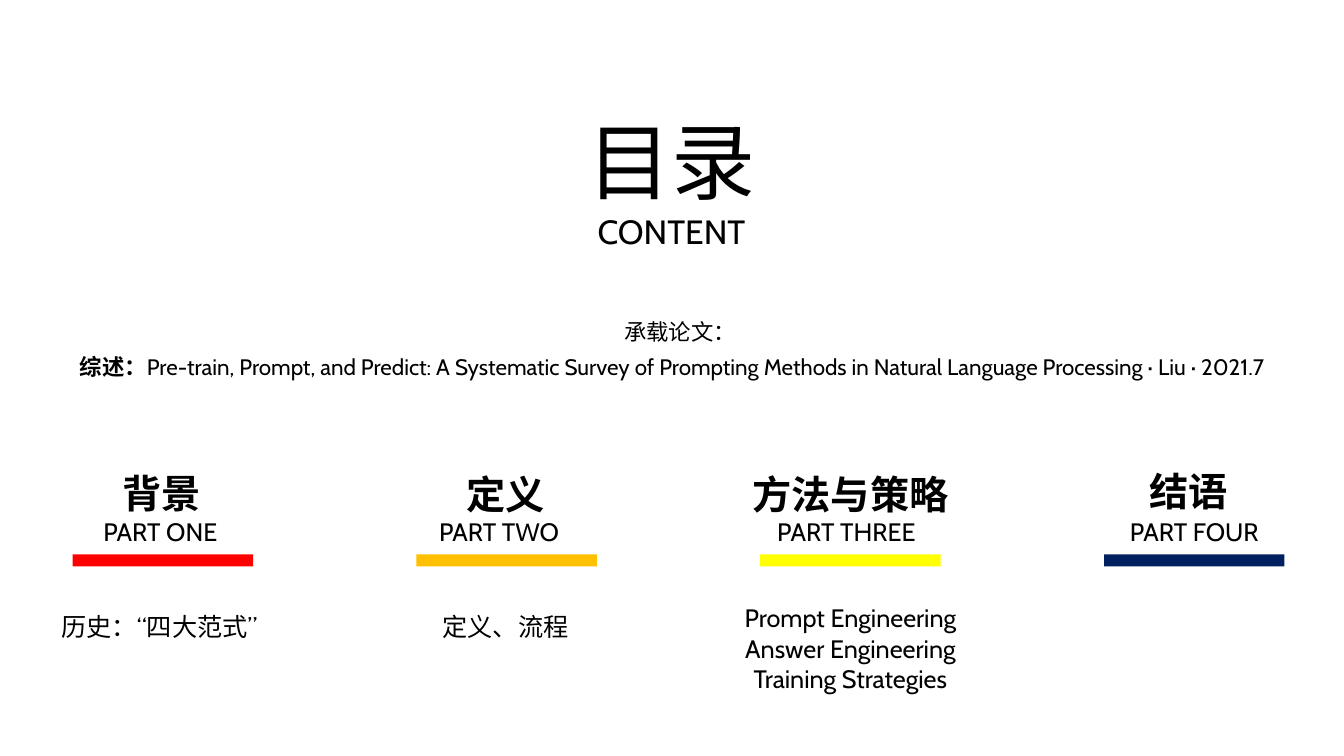
from lxml import etree
from pptx import Presentation
from pptx.dml.color import RGBColor
from pptx.enum import shapes, text
from pptx.oxml.ns import qn
from pptx.util import Inches, Pt

FONT = "Cabin"
BLACK = RGBColor(0x00, 0x00, 0x00)
RED = RGBColor(0xFF, 0x00, 0x00)
ORANGE = RGBColor(0xFF, 0xC0, 0x00)
YELLOW = RGBColor(0xFF, 0xFF, 0x00)
NAVY = RGBColor(0x00, 0x20, 0x60)
CENTER, LEFT = text.PP_ALIGN.CENTER, text.PP_ALIGN.LEFT

# Each line is a list of runs: (text, size, bold)
TITLE = [[("目录", 60, False)], [("CONTENT", 24, False)]]
PAPER = [
    [("承载论文：", 16, False)],
    [("综述：", 16, True),
     ("Pre-train, Prompt, and Predict: A Systematic Survey of Prompting Methods "
      "in Natural Language Processing · Liu · 2021.7", 16, False)],
]
# Heading and its box, label and its box, bar colour
PARTS = [
    ("背景", (0.64, 4.47, 1.92, 0.71), "PART ONE", (0.79, 4.98, 1.6, 0.49), RED),
    ("定义", (3.93, 4.48, 2.17, 0.71), "PART TWO", (4.08, 4.98, 1.74, 0.49), ORANGE),
    ("方法与策略", (7.26, 4.48, 2.35, 0.71), "PART THREE", (7.46, 4.98, 1.87, 0.49), YELLOW),
    ("结语", (10.83, 4.45, 1.92, 0.71), "PART FOUR", (11.1, 4.98, 1.49, 0.49), NAVY),
]
# Lines, box, alignment, wrap
TOPICS = [
    (["历史：“四大范式”"], (0.51, 6.02, 2.23, 0.4), LEFT, True),
    (["定义、流程"], (4.29, 6.02, 1.45, 0.4), LEFT, False),
    (["Prompt Engineering", "Answer Engineering", "Training Strategies"],
     (7.22, 5.93, 2.43, 1.01), CENTER, True),
]
BAR_LEFT, BAR_STEP, BAR_TOP, BAR_W, BAR_H = 0.72, 3.41, 5.5, 1.79, 0.12


def write(sp, lines, align=CENTER, spacing=1.0, wrap=True):
    tf = sp.text_frame
    tf.word_wrap = wrap
    tf.auto_size = text.MSO_AUTO_SIZE.NONE
    tf.vertical_anchor = text.MSO_ANCHOR.TOP
    for i, line in enumerate(lines):
        p = tf.paragraphs[0] if i == 0 else tf.add_paragraph()
        p.alignment, p.line_spacing = align, spacing
        for words, size, bold in line:
            r = p.add_run()
            r.text = words
            r.font.size, r.font.bold, r.font.name = Pt(size), bold, FONT
            r.font.color.rgb = BLACK
            # East Asian characters take their font from a separate element
            etree.SubElement(r.font._element, qn("a:ea")).set("typeface", FONT)
    return tf


def add_text(s, box, lines, **style):
    return write(s.shapes.add_textbox(*map(Inches, box)), lines, **style)


def main():
    prs = Presentation()
    prs.slide_width, prs.slide_height = Inches(13.33), Inches(7.5)
    s = prs.slides.add_slide(prs.slide_layouts[5])

    title = s.shapes.title
    title.left, title.top, title.width, title.height = map(Inches, (5.72, 1.04, 1.88, 1.51))
    write(title, TITLE, wrap=False)

    tf = add_text(s, (0.24, 3.03, 12.86, 0.8), PAPER, spacing=1.3)
    tf.paragraphs[0]._p.get_or_add_pPr().set("marL", str(Inches(0.15)))

    for i, (heading, heading_box, label, label_box, color) in enumerate(PARTS):
        add_text(s, heading_box, [[(heading, 28, True)]], spacing=1.3)
        add_text(s, label_box, [[(label, 18, False)]], spacing=1.3)
        bar = s.shapes.add_shape(
            shapes.MSO_SHAPE.RECTANGLE,
            *map(Inches, (BAR_LEFT + i * BAR_STEP, BAR_TOP, BAR_W, BAR_H)))
        bar.shadow.inherit = False
        bar.fill.solid()
        bar.fill.fore_color.rgb = color
        bar.line.fill.background()

    for lines, box, align, wrap in TOPICS:
        add_text(s, box, [[(line, 18, False)] for line in lines], align=align, wrap=wrap)

    prs.save("out.pptx")


if __name__ == "__main__":
    main()
